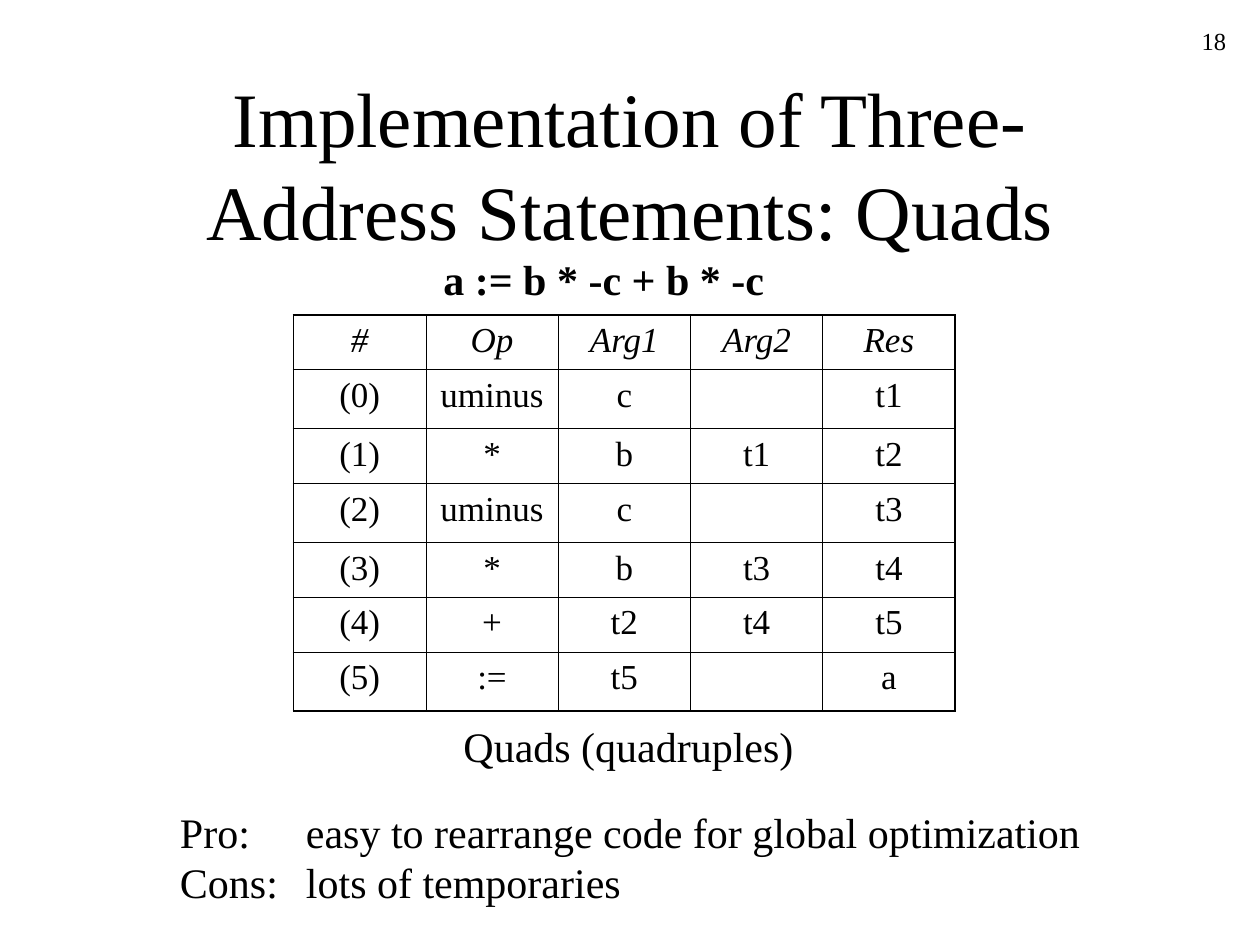
from dataclasses import dataclass

from lxml.etree import SubElement
from pptx import Presentation
from pptx.dml.color import RGBColor
from pptx.enum.text import MSO_ANCHOR, MSO_AUTO_SIZE, PP_ALIGN
from pptx.oxml.ns import qn
from pptx.util import Inches, Pt


@dataclass(frozen=True)
class Theme:
    font: str = "Times New Roman"
    ink: str = "000000"
    title: int = 44
    body: int = 24
    cell: int = 20
    number: int = 14
    outer: float = 1.08
    inner: float = 0.45


class Deck:
    def __init__(self, prs, theme):
        self.theme = theme
        self.s = prs.slides.add_slide(prs.slide_layouts[5])

    def format(self, tf, size, align=PP_ALIGN.LEFT, bold=False, italic=False):
        for p in tf.paragraphs:
            p.alignment = align
            for r in p.runs:
                r.font.name = self.theme.font
                r.font.size = Pt(size)
                r.font.bold = bold
                r.font.italic = italic
                r.font.color.rgb = RGBColor.from_string(self.theme.ink)

    def place(self, sp, x, y, w, h):
        sp.left, sp.top = Inches(x), Inches(y)
        sp.width, sp.height = Inches(w), Inches(h)

    def title(self, text, x, y, w, h):
        sp = self.s.shapes.title
        self.place(sp, x, y, w, h)
        tf = sp.text_frame
        tf.text = text
        tf.auto_size = MSO_AUTO_SIZE.NONE
        tf.vertical_anchor = MSO_ANCHOR.MIDDLE
        self.format(tf, self.theme.title, PP_ALIGN.CENTER)

    def number(self, text, x, y, w, h):
        tf = self.s.shapes.add_textbox(*map(Inches, (x, y, w, h))).text_frame
        tf.text = text
        tf.word_wrap = True
        self.format(tf, self.theme.number, PP_ALIGN.RIGHT)

    def label(self, text, x, y, w, h, bold=False):
        tf = self.s.shapes.add_textbox(*map(Inches, (x, y, w, h))).text_frame
        tf.text = text
        tf.word_wrap = False
        tf.auto_size = MSO_AUTO_SIZE.SHAPE_TO_FIT_TEXT
        self.format(tf, self.theme.body, bold=bold)

    def border(self, cell, side, width):
        ln = SubElement(cell._tc.get_or_add_tcPr(), qn(f"a:ln{side}"), w=str(Pt(width)))
        fill = SubElement(ln, qn("a:solidFill"))
        SubElement(fill, qn("a:srgbClr"), val=self.theme.ink)

    def table(self, rows, x, y, col_w, full_h, gap_h):
        n, m = len(rows), len(rows[0])
        heights = [full_h if all(row) else gap_h for row in rows]
        size = map(Inches, (x, y, col_w * m, sum(heights)))
        tbl = self.s.shapes.add_table(n, m, *size).table
        tbl.first_row = tbl.horz_banding = False
        for col in tbl.columns:
            col.width = Inches(col_w)
        for i, row in enumerate(rows):
            tbl.rows[i].height = Inches(heights[i])
            for j, text in enumerate(row):
                cell = tbl.cell(i, j)
                cell.text = text
                self.format(cell.text_frame, self.theme.cell, PP_ALIGN.CENTER, italic=i == 0)
                edges = {"L": j == 0, "R": j == m - 1, "T": i == 0, "B": i == n - 1}
                for side, outer in edges.items():
                    self.border(cell, side, self.theme.outer if outer else self.theme.inner)
                cell.fill.background()


QUADS = [
    ("#", "Op", "Arg1", "Arg2", "Res"),
    ("(0)", "uminus", "c", "", "t1"),
    ("(1)", "*", "b", "t1", "t2"),
    ("(2)", "uminus", "c", "", "t3"),
    ("(3)", "*", "b", "t3", "t4"),
    ("(4)", "+", "t2", "t4", "t5"),
    ("(5)", ":=", "t5", "", "a"),
]


def main():
    prs = Presentation()
    prs.slide_width, prs.slide_height = Inches(10), Inches(7.5)
    deck = Deck(prs, Theme())
    deck.number("18", 7.75, 0.16, 2.08, 0.5)
    deck.title("Implementation of Three-Address Statements: Quads", 0.75, 0.67, 8.5, 1.25)
    deck.table(QUADS, 2.33, 2.5, 1.05, 0.43, 0.47)
    deck.label("Quads (quadruples)", 3.58, 5.67, 2.84, 0.5)
    deck.label(
        "Pro:\teasy to rearrange code for global optimization\vCons:\tlots of temporaries",
        1.33, 6.35, 7.38, 0.9,
    )
    deck.label("a := b * -c + b * -c", 3.42, 1.96, 2.78, 0.5, bold=True)
    prs.save("out.pptx")


if __name__ == "__main__":
    main()
